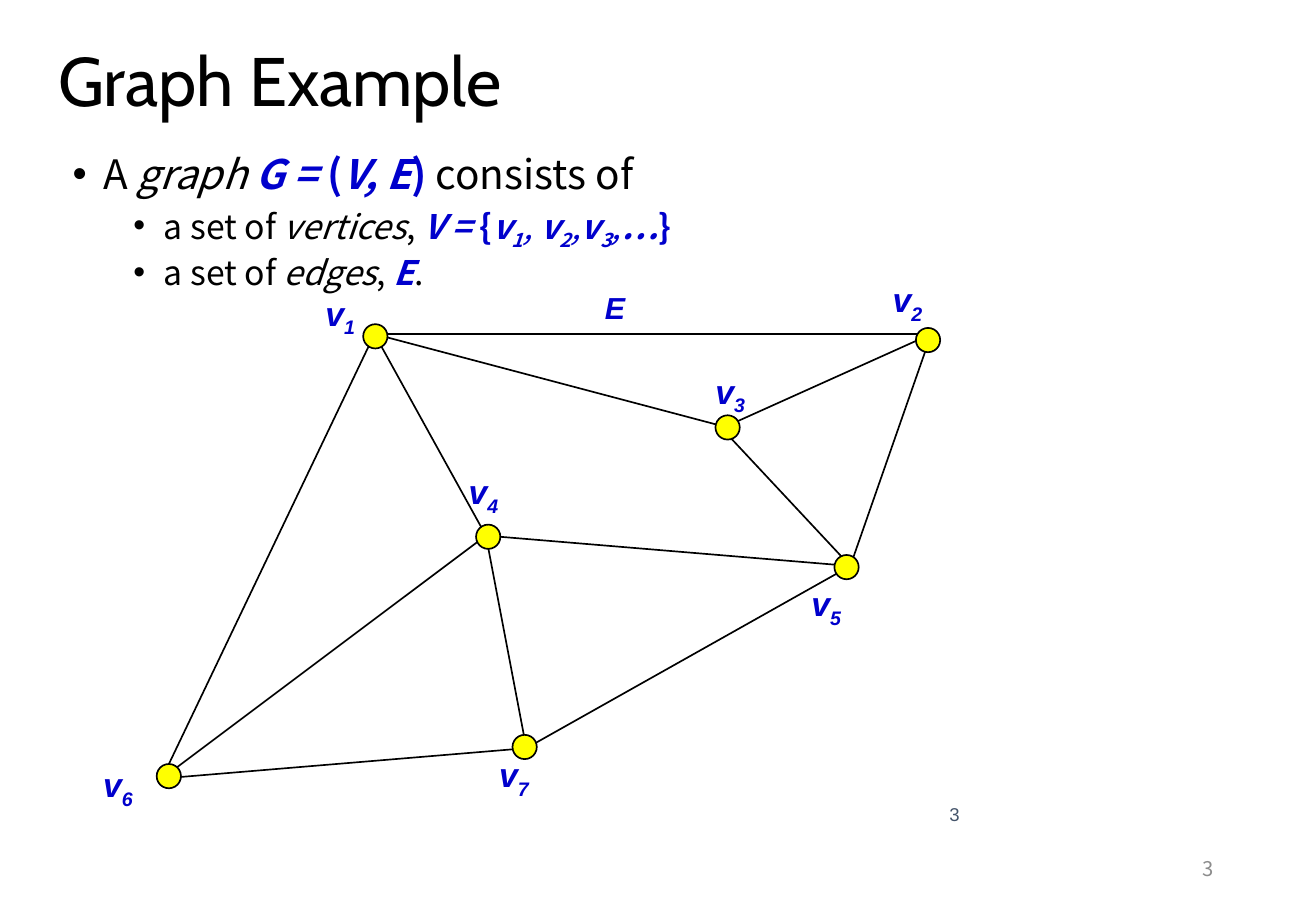
from dataclasses import dataclass

from lxml.etree import SubElement
from pptx import Presentation
from pptx.dml.color import RGBColor
from pptx.enum.shapes import MSO_CONNECTOR, MSO_SHAPE
from pptx.enum.text import MSO_ANCHOR, MSO_AUTO_SIZE, PP_ALIGN
from pptx.oxml.ns import qn
from pptx.util import Pt

COLORS = {"black": "000000", "blue": "0000CC", "yellow": "FFFF00",
          "gray": "8C8C8C", "slate": "44546A"}
SANS, HEAD, BODY = "Arial", "Cabin", "Noto Sans CJK SC"
DOT = 14.4


@dataclass
class Node:
    num: str
    hub: tuple[float, float]    # where edges meet
    dot: tuple[float, float]    # left, top of the circle
    tag: tuple[float, float]    # left, top of the label


@dataclass
class Edge:
    start: str
    end: str
    shift: float = 0            # moves the end sideways


@dataclass
class Run:
    text: str
    style: str = ""             # b bold, i italic, s subscript, c blue


@dataclass
class Item:
    level: int
    size: float
    left: float
    gap: float
    runs: list[Run]


@dataclass
class Label:
    text: str
    box: tuple[float, float, float, float]
    size: float
    font: str
    color: str
    align: PP_ALIGN
    spacing: float = 1.0


NODES = {n.num: n for n in [
    Node("1", (222, 198), (215.3, 192.2), (185.8, 169.9)),
    Node("2", (552, 198), (542.9, 194.4), (522, 162)),
    Node("3", (426, 252), (424.1, 246.2), (416.9, 216)),
    Node("4", (288, 317.5), (282.2, 311), (270.7, 275.8)),
    Node("5", (504, 335.5), (494.6, 329), (473.8, 342)),
    Node("6", (96, 461.5), (92.9, 452.9), (54, 449.3)),
    Node("7", (312, 443.5), (303.8, 435.6), (288.7, 443.5)),
]}
EDGES = [Edge("6", "4"), Edge("4", "5"), Edge("5", "2"), Edge("2", "3", 6),
         Edge("6", "7"), Edge("7", "4"), Edge("4", "1"), Edge("1", "3"),
         Edge("6", "1"), Edge("7", "5"), Edge("1", "2"), Edge("5", "3")]
ITEMS = [
    Item(0, 24, 18, 10, [
        Run("A "), Run("graph ", "i"), Run("G = ", "bic"), Run("(", "bc"),
        Run("V, E", "bic"), Run(") ", "bc"), Run("consists of")]),
    Item(1, 20, 54, 5, [
        Run("a set of "), Run("vertices", "i"), Run(", "),
        Run("V = ", "bic"), Run("{", "bc"),
        Run("v", "bic"), Run("1", "bics"), Run(", ", "ic"),
        Run("v", "bic"), Run("2", "bics"), Run(",", "ic"),
        Run("v", "bic"), Run("3", "bics"), Run(",", "ic"),
        Run("…", "bic"), Run("}", "bc")]),
    Item(1, 20, 54, 5, [
        Run("a set of "), Run("edges", "i"), Run(", "),
        Run("E", "bic"), Run(".")]),
]
LABELS = [
    Label("Graph Example", (27.4, 26.6, 570.2, 49), 40.7, HEAD, "black",
          PP_ALIGN.LEFT, 0.8),
    Label("3", (550.8, 500.4, 175.7, 28.8), 12, BODY, "gray", PP_ALIGN.RIGHT),
    Label("3", (529.9, 473.8, 46.1, 18), 11, SANS, "slate", PP_ALIGN.RIGHT),
]


def paint(color: str) -> RGBColor:
    return RGBColor.from_string(COLORS[color])


def apply(target, values: dict) -> None:
    for name, value in values.items():
        setattr(target, name, value)


def add_run(para, run: Run, size: float, font: str, color: str = "black") -> None:
    part = para.add_run()
    part.text = run.text
    apply(part.font, {"size": Pt(size), "name": font,
                      "bold": "b" in run.style, "italic": "i" in run.style})
    part.font.color.rgb = paint("blue" if "c" in run.style else color)
    props = part._r.get_or_add_rPr()
    for tag in ("a:ea", "a:cs"):
        SubElement(props, qn(tag), typeface=font)
    if "s" in run.style:
        props.set("baseline", "-25000")


def add_box(slide, box: tuple, **values):
    frame = slide.shapes.add_textbox(*map(Pt, box)).text_frame
    apply(frame, {"word_wrap": True, **values})
    return frame


def add_label(slide, label: Label) -> None:
    frame = add_box(slide, label.box, vertical_anchor=MSO_ANCHOR.MIDDLE)
    para = frame.paragraphs[0]
    apply(para, {"alignment": label.align, "line_spacing": label.spacing})
    add_run(para, Run(label.text), label.size, label.font, label.color)


def add_tag(slide, box: tuple, runs: list[Run], size: float) -> None:
    frame = add_box(slide, box, word_wrap=False,
                    auto_size=MSO_AUTO_SIZE.SHAPE_TO_FIT_TEXT)
    for run in runs:
        add_run(frame.paragraphs[0], run, size, SANS)


def add_edge(slide, edge: Edge) -> None:
    (x, y), (u, v) = NODES[edge.start].hub, NODES[edge.end].hub
    line = slide.shapes.add_connector(
        MSO_CONNECTOR.STRAIGHT, Pt(x), Pt(y), Pt(u + edge.shift), Pt(v))
    line.line.color.rgb = paint("black")
    line.line.width = Pt(1)
    SubElement(line._element.spPr, qn("a:effectLst"))


def add_dot(slide, node: Node) -> None:
    dot = slide.shapes.add_shape(
        MSO_SHAPE.OVAL, *map(Pt, (*node.dot, DOT, DOT)))
    dot.shadow.inherit = False
    dot.fill.solid()
    dot.fill.fore_color.rgb = paint("yellow")
    dot.line.color.rgb = paint("black")
    dot.line.width = Pt(1)


def add_list(slide, box: tuple, items: list[Item]) -> None:
    frame = add_box(slide, box)
    for i, item in enumerate(items):
        para = frame.add_paragraph() if i else frame.paragraphs[0]
        apply(para, {"level": item.level, "line_spacing": 0.9,
                     "space_before": Pt(item.gap)})
        props = para._p.get_or_add_pPr()
        props.set("marL", str(Pt(item.left)))
        props.set("indent", str(Pt(-18)))
        SubElement(props, qn("a:buFont"), typeface=SANS)
        SubElement(props, qn("a:buChar"), char="•")
        for run in item.runs:
            add_run(para, run, item.size, BODY)


def main() -> None:
    deck = Presentation()
    apply(deck, {"slide_width": Pt(780), "slide_height": Pt(540)})
    slide = deck.slides.add_slide(deck.slide_layouts[6])

    # Title and page numbers
    for label in LABELS:
        add_label(slide, label)

    # Graph edges
    for edge in EDGES:
        add_edge(slide, edge)

    # Vertex names and edge name
    for node in NODES.values():
        add_tag(slide, (*node.tag, 33.1, 31.7),
                [Run("v", "bic"), Run(node.num, "bics")], 20)
    add_tag(slide, (351.4, 167.8, 26.6, 28.8), [Run("E", "bic")], 18)

    # Definition
    add_list(slide, (36, 87.8, 617.8, 109.4), ITEMS)

    # Vertices
    for node in NODES.values():
        add_dot(slide, node)

    deck.save("out.pptx")


if __name__ == "__main__":
    main()
